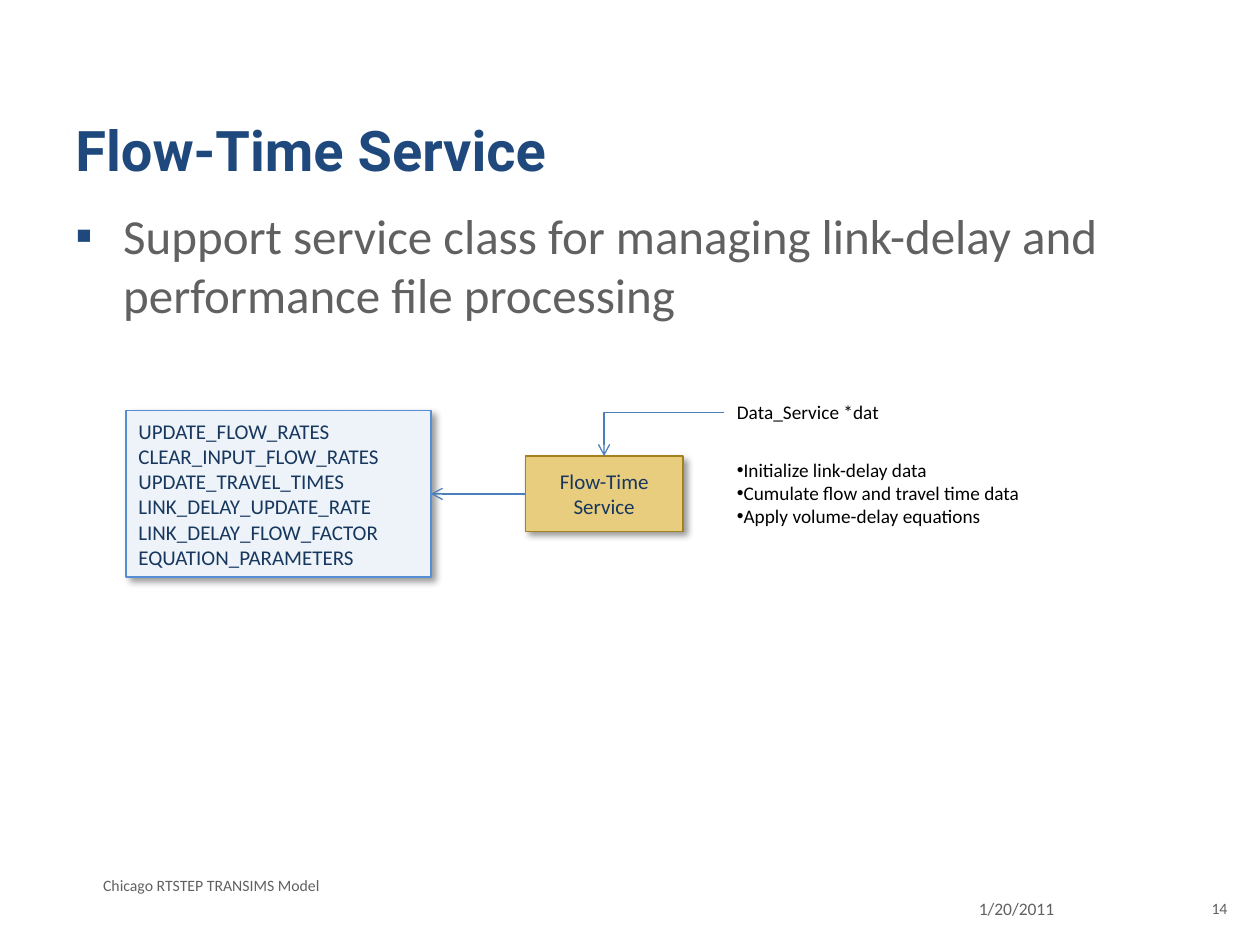
import pptx
import pptx.util
import pptx.dml.color
import pptx.enum.shapes
import pptx.enum.text
import pptx.oxml
import pptx.oxml.ns
from lxml import etree

Inches = pptx.util.Inches
Pt = pptx.util.Pt
RGBColor = pptx.dml.color.RGBColor
Shape = pptx.enum.shapes.MSO_SHAPE
Connector = pptx.enum.shapes.MSO_CONNECTOR
Align = pptx.enum.text.PP_ALIGN
Anchor = pptx.enum.text.MSO_ANCHOR
qn = pptx.oxml.ns.qn

NAVY = RGBColor(0x1F, 0x49, 0x7D)
GRAY = RGBColor(0x61, 0x61, 0x61)
BLACK = RGBColor(0, 0, 0)
INK = RGBColor(0x17, 0x37, 0x5E)
GOLD = RGBColor(0xE8, 0xCD, 0x7E)
DARK_GOLD = RGBColor(0xA3, 0x81, 0x1D)
PALE_BLUE = RGBColor(0xED, 0xF3, 0xF8)
BLUE = RGBColor(0x55, 0x8E, 0xD5)
ARROW_BLUE = RGBColor(0x4B, 0x7E, 0xBC)

TITLE = "Flow-Time Service"
SUMMARY = "Support service class for managing link-delay and performance file processing"
SERVICE = "Flow-Time Service"
DATA_SOURCE = "Data_Service *dat"
CONTROL_KEYS = [
    "UPDATE_FLOW_RATES",
    "CLEAR_INPUT_FLOW_RATES",
    "UPDATE_TRAVEL_TIMES",
    "LINK_DELAY_UPDATE_RATE",
    "LINK_DELAY_FLOW_FACTOR",
    "EQUATION_PARAMETERS",
]
TASKS = [
    "Initialize link-delay data",
    "Cumulate flow and travel time data",
    "Apply volume-delay equations",
]
FOOTERS = [
    ("1/20/2011", (7.67, 7.08, 1.5, 0.33), 10, Align.LEFT),
    ("Chicago RTSTEP TRANSIMS Model", (0.72, 6.9, 6.5, 0.25), 9, Align.LEFT),
    ("14", (9.42, 7.08, 0.42, 0.32), 9, Align.RIGHT),
]


def add_bullet(paragraph, character, indent=0, color=None):
    properties = paragraph._p.get_or_add_pPr()
    properties.set("marL", str(Inches(indent)))
    properties.set("indent", str(-Inches(indent)))
    if color is not None:
        bullet_color = etree.SubElement(properties, qn("a:buClr"))
        etree.SubElement(bullet_color, qn("a:srgbClr"), val=str(color))
    etree.SubElement(properties, qn("a:buFont"), typeface="Arial")
    etree.SubElement(properties, qn("a:buChar"), char=character)


def write(shape, lines, size, color, font="Calibri", bold=False,
          align=Align.LEFT, anchor=Anchor.TOP, bullet=None):
    frame = shape.text_frame
    frame.word_wrap = True
    frame.vertical_anchor = anchor
    for index, line in enumerate(lines):
        paragraph = frame.add_paragraph() if index else frame.paragraphs[0]
        paragraph.alignment = align
        if bullet:
            add_bullet(paragraph, *bullet)
        run = paragraph.add_run()
        run.text = line
        run.font.name = font
        run.font.size = Pt(size)
        run.font.bold = bold
        run.font.color.rgb = color


def add_text(slide, box, lines, size, color, **style):
    shape = slide.shapes.add_textbox(*map(Inches, box))
    write(shape, lines, size, color, **style)
    return shape


def add_box(slide, preset, box, fill, line, lines, align):
    shape = slide.shapes.add_shape(preset, *map(Inches, box))
    shape.fill.solid()
    shape.fill.fore_color.rgb = fill
    shape.line.color.rgb = line
    shape.line.width = Pt(0.75)
    shape.shadow.inherit = False
    effects = shape._element.spPr.find(qn("a:effectLst"))
    shadow = etree.SubElement(effects, qn("a:outerShdw"), blurRad=str(Pt(4)),
                              dist=str(Pt(3)), dir=str(45 * 60000), algn="tl", rotWithShape="0")
    shadow_color = etree.SubElement(shadow, qn("a:srgbClr"), val=str(BLACK))
    etree.SubElement(shadow_color, qn("a:alpha"), val="40000")
    write(shape, lines, 12, INK, align=align, anchor=Anchor.MIDDLE)
    return shape


def add_arrow(slide, kind, source, source_side, target, target_side):
    arrow = slide.shapes.add_connector(kind, 0, 0, 0, 0)
    arrow.begin_connect(source, source_side)
    arrow.end_connect(target, target_side)
    arrow.line.color.rgb = ARROW_BLUE
    arrow.line.width = Pt(0.75)
    etree.SubElement(arrow.line._get_or_add_ln(), qn("a:tailEnd"), type="arrow")
    etree.SubElement(arrow._element.spPr, qn("a:effectLst"))
    return arrow


def main():
    presentation = pptx.Presentation()
    presentation.slide_width = Inches(10)
    presentation.slide_height = Inches(7.5)
    slide = presentation.slides.add_slide(presentation.slide_layouts[6])

    title = add_text(slide, (0.5, 0.3, 9, 1.25), [TITLE], 32, NAVY,
                     font="Roboto", bold=True, anchor=Anchor.BOTTOM)
    title.text_frame.margin_bottom = Inches(0.1)
    add_text(slide, (0.5, 1.58, 9, 5.12), [SUMMARY], 28, GRAY, bullet=("▪", 0.38, NAVY))
    for text, box, size, align in FOOTERS:
        add_text(slide, box, [text], size, GRAY, align=align)

    service = add_box(slide, Shape.FLOWCHART_PROCESS, (4.17, 3.62, 1.25, 0.6),
                      GOLD, DARK_GOLD, [SERVICE], Align.CENTER)
    add_text(slide, (5.75, 3.59, 2.58, 0.66), TASKS, 11, BLACK, bullet=("•",))
    controls = add_box(slide, Shape.RECTANGLE, (1, 3.26, 2.42, 1.32),
                       PALE_BLUE, BLUE, CONTROL_KEYS, Align.LEFT)
    data_source = add_text(slide, (5.75, 3.13, 1.75, 0.29), [DATA_SOURCE], 11, BLACK)

    add_arrow(slide, Connector.STRAIGHT, service, 1, controls, 3)
    elbow = add_arrow(slide, Connector.ELBOW, data_source, 1, service, 0)
    elbow._element.spPr.find(qn("a:prstGeom")).set("prst", "bentConnector2")

    presentation.save("out.pptx")


if __name__ == "__main__":
    main()
